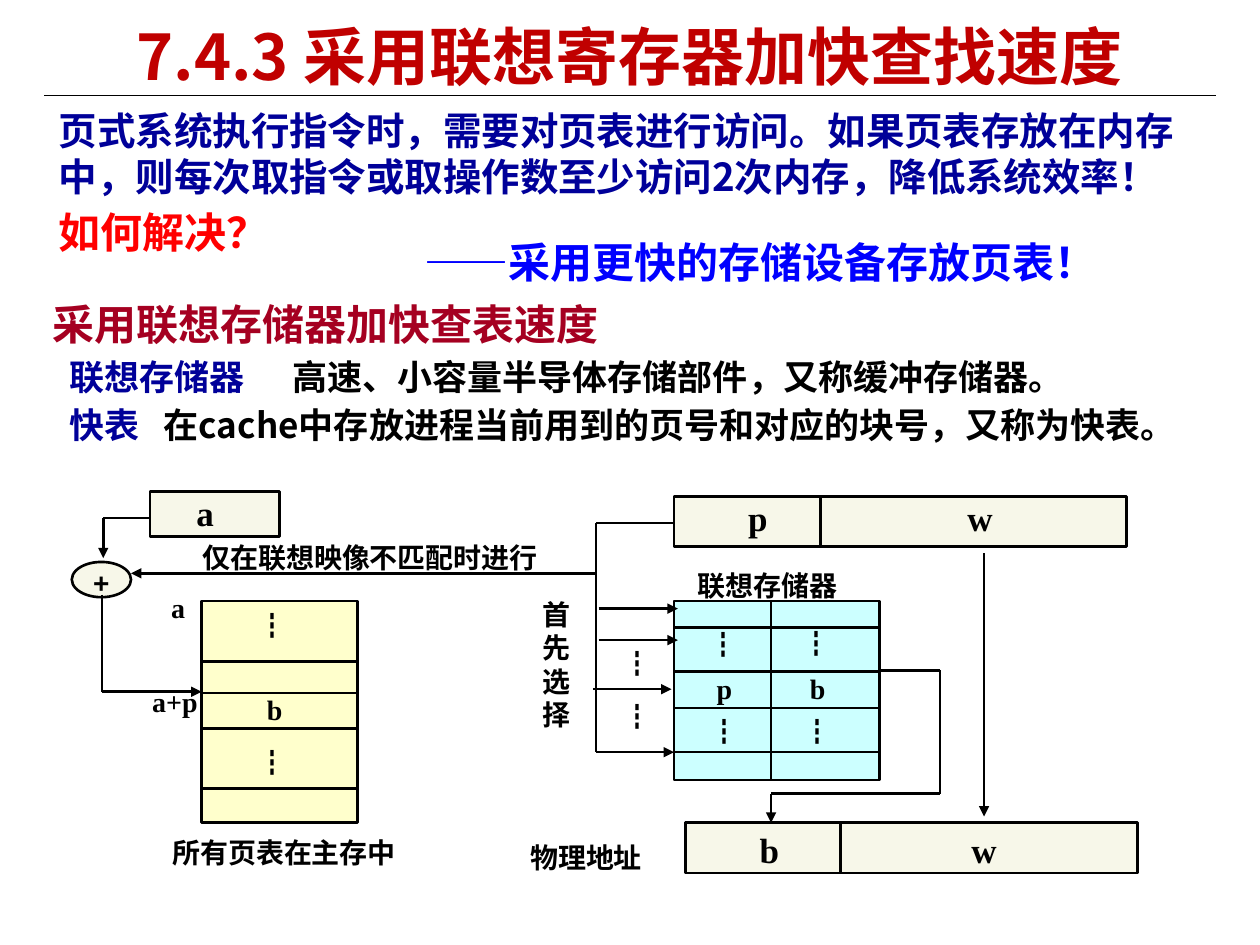
from dataclasses import dataclass

from lxml.etree import SubElement
from pptx import Presentation
from pptx.dml.color import RGBColor
from pptx.enum.shapes import MSO_CONNECTOR, MSO_SHAPE
from pptx.enum.text import MSO_ANCHOR, MSO_AUTO_SIZE, PP_ALIGN
from pptx.oxml.ns import qn
from pptx.util import Inches, Pt

BLACK = RGBColor(0x00, 0x00, 0x00)
TITLE_RED = RGBColor(0xC0, 0x00, 0x00)
RED = RGBColor(0xFF, 0x00, 0x00)
CRIMSON = RGBColor(0xA5, 0x00, 0x21)
NAVY = RGBColor(0x00, 0x00, 0x99)
BLUE = RGBColor(0x00, 0x00, 0xFF)
IVORY = RGBColor(0xF7, 0xF7, 0xE9)
YELLOW = RGBColor(0xFF, 0xFF, 0xCC)
CYAN = RGBColor(0xCC, 0xFF, 0xFF)

HAN = "Noto Sans CJK SC"
SERIF = "Times New Roman"
DOTS = "┇"


@dataclass
class Span:
    text: str
    size: float = 16
    color: RGBColor = BLACK
    font: str = SERIF
    bold: bool = True


@dataclass
class Para:
    """A paragraph; after a tab the text goes on at `hang`."""
    spans: list[Span]
    start: float = 0
    hang: float = 0
    before: float = 0


@dataclass
class Block:
    """A filled outline with inner rules, given as distances from its left and top."""
    at: tuple[float, float, float, float]
    fill: RGBColor
    columns: tuple[float, ...] = ()
    rows: tuple[float, ...] = ()
    label: Para | None = None
    top_margin: float = 0
    kind: MSO_SHAPE = MSO_SHAPE.RECTANGLE


def lengths(values) -> list:
    return [Inches(value) for value in values]


def write(frame, paras: list[Para], top_margin: float = 0.05) -> None:
    layout = dict(word_wrap=True, auto_size=MSO_AUTO_SIZE.NONE, vertical_anchor=MSO_ANCHOR.TOP,
                  margin_left=Inches(0.1), margin_right=Inches(0.1),
                  margin_top=Inches(top_margin), margin_bottom=Inches(0.05))
    for name, value in layout.items():
        setattr(frame, name, value)
    for index, item in enumerate(paras):
        para = frame.add_paragraph() if index else frame.paragraphs[0]
        para.alignment = PP_ALIGN.LEFT
        para.space_before = Pt(item.before)
        margin = item.hang or item.start
        properties = para._p.get_or_add_pPr()
        properties.set("marL", str(Inches(margin)))
        properties.set("indent", str(Inches(item.start - margin)))
        SubElement(properties, qn("a:buNone"))
        for part in item.spans:
            span = para.add_run()
            span.text = part.text
            span.font.color.rgb = part.color
            for name, value in dict(name=part.font, size=Pt(part.size), bold=part.bold).items():
                setattr(span.font, name, value)
            SubElement(span._r.get_or_add_rPr(), qn("a:ea"), typeface=HAN)


def place(placeholder, at: tuple, paras: list[Para]) -> None:
    for name, value in zip(("left", "top", "width", "height"), lengths(at)):
        setattr(placeholder, name, value)
    write(placeholder.text_frame, paras)


def add_text(page, at: tuple, *paras: Para) -> None:
    write(page.shapes.add_textbox(*lengths(at)).text_frame, list(paras))


def add_line(page, start: tuple, end: tuple, arrow: bool = False, width: float = 1.5) -> None:
    line = page.shapes.add_connector(MSO_CONNECTOR.STRAIGHT, *lengths(start + end))
    line.line.color.rgb = BLACK
    line.line.width = Pt(width)
    if arrow:
        SubElement(line.line._get_or_add_ln(), qn("a:tailEnd"), type="triangle")
    SubElement(line._element.spPr, qn("a:effectLst"))


def add_route(page, *points: tuple, arrow: bool = True) -> None:
    """Joins the points with straight lines; the last one may carry an arrowhead."""
    for index in range(1, len(points)):
        add_line(page, points[index - 1], points[index], arrow and index == len(points) - 1)


def add_block(page, block: Block) -> None:
    left, top, width, height = block.at
    shape = page.shapes.add_shape(block.kind, *lengths(block.at))
    shape.shadow.inherit = False
    shape.fill.solid()
    shape.fill.fore_color.rgb = block.fill
    shape.line.color.rgb = BLACK
    shape.line.width = Pt(1.5)
    if block.label:
        write(shape.text_frame, [block.label], block.top_margin)
    for column in block.columns:
        add_line(page, (left + column, top), (left + column, top + height))
    for row in block.rows:
        add_line(page, (left, top + row), (left + width, top + row))


def main() -> None:
    deck = Presentation()
    deck.slide_width, deck.slide_height = Inches(10), Inches(7.5)
    page = deck.slides.add_slide(deck.slide_layouts[1])
    title, body = page.placeholders

    add_line(page, (0.35, 0.76), (9.65, 0.76), width=0.75)
    place(title, (0.37, 0, 9.25, 0.75),
          [Para([Span("7.4.3 采用联想寄存器加快查找速度", 36, TITLE_RED, HAN)])])
    heading = title.text_frame.paragraphs[0]
    heading.alignment, heading.line_spacing = PP_ALIGN.CENTER, 1.15
    place(body, (0.32, 2.32, 9.3, 1.27), [
        Para([Span("采用联想存储器加快查表速度", 24, CRIMSON, HAN)]),
        Para([Span("联想存储器\t", 20, NAVY, HAN),
              Span("高速、小容量半导体存储部件，又称缓冲存储器。", 20, BLACK, HAN)], 0.13, 1.9, 3.6),
        Para([Span("快表\t", 20, NAVY, HAN),
              Span("在cache中存放进程当前用到的页号和对应的块号，又称为快表。", 20, BLACK, HAN)],
             0.13, 0.88, 3.6),
    ])
    for at, span in (
        ((0.37, 0.8, 9.2, 0.84), Span("页式系统执行指令时，需要对页表进行访问。如果页表存放在内存中，"
                                      "则每次取指令或取操作数至少访问2次内存，降低系统效率！", 22, NAVY, HAN)),
        ((0.37, 1.59, 2.6, 0.5), Span("如何解决？", 24, RED, HAN)),
        ((3.27, 1.83, 6.3, 0.5), Span("——采用更快的存储设备存放页表！", 24, BLUE, HAN)),
    ):
        add_text(page, at, Para([span]))

    for block in (
        Block((1.19, 3.9, 1.03, 0.36), IVORY, label=Para([Span("a", 20)], 0.27)),
        Block((1.6, 4.77, 1.24, 1.76), YELLOW, rows=(0.48, 0.73, 1.01, 1.49)),
        Block((0.57, 4.46, 0.47, 0.28), IVORY, kind=MSO_SHAPE.OVAL),
        Block((5.35, 3.94, 3.59, 0.4), IVORY, columns=(1.16,),
              label=Para([Span("p\tw", 20)], 0.49, 2.23)),
        Block((5.35, 4.77, 1.63, 1.42), CYAN, columns=(0.77,), rows=(0.21, 0.56, 0.85, 1.2)),
        Block((5.44, 6.53, 3.59, 0.4), IVORY, columns=(1.23,),
              label=Para([Span("b\tw", 20)], 0.49, 2.17), top_margin=0.05),
    ):
        add_block(page, block)

    add_route(page, (5.35, 4.15), (4.73, 4.15), (4.73, 5.97), (5.35, 5.97))
    for left, right, y in ((4.75, 5.38, 4.83), (4.75, 5.38, 5.08), (4.71, 5.33, 5.47)):
        add_route(page, (left, y), (right, y))
    add_route(page, (1.19, 4.11), (0.82, 4.11), (0.82, 4.43))
    add_route(page, (0.81, 4.72), (0.81, 5.49), (1.6, 5.49))
    add_route(page, (4.73, 4.55), (1.04, 4.55))
    add_route(page, (6.98, 5.32), (7.46, 5.32), (7.46, 6.3), (6.12, 6.3), (6.12, 6.53))
    add_route(page, (7.81, 4.39), (7.81, 6.48))

    for text, at in (
        ("仅在联想映像不匹配时进行", (1.51, 4.24, 3.26, 0.29)),
        ("联想存储器", (5.44, 4.46, 1.54, 0.31)),
        ("所有页表在主存中", (1.27, 6.58, 2.48, 0.42)),
        ("物理地址", (4.11, 6.62, 1.28, 0.28)),
        ("p", (5.59, 5.28, 0.47, 0.35)),
        ("b", (6.33, 5.28, 0.47, 0.35)),
        ("b", (2.02, 5.45, 0.47, 0.35)),
        ("a+p", (1.11, 5.38, 0.78, 0.35)),
        ("a", (1.26, 4.64, 0.47, 0.35)),
    ):
        add_text(page, at, Para([Span(text)]))
    add_text(page, (0.64, 4.44, 0.54, 0.39), Para([Span("+", font="Arial")]))
    add_text(page, (4.21, 4.69, 0.46, 1), *[Para([Span(letter)]) for letter in "首先选择"])
    for left, top in ((6.28, 5.62), (4.85, 5.08), (4.85, 5.5), (5.53, 4.93), (6.27, 4.92),
                      (5.54, 5.62), (1.95, 4.78), (1.95, 5.87)):
        add_text(page, (left, top, 0.47, 0.35), Para([Span(DOTS, font=HAN, bold=False)]))

    deck.save("out.pptx")


if __name__ == "__main__":
    main()
